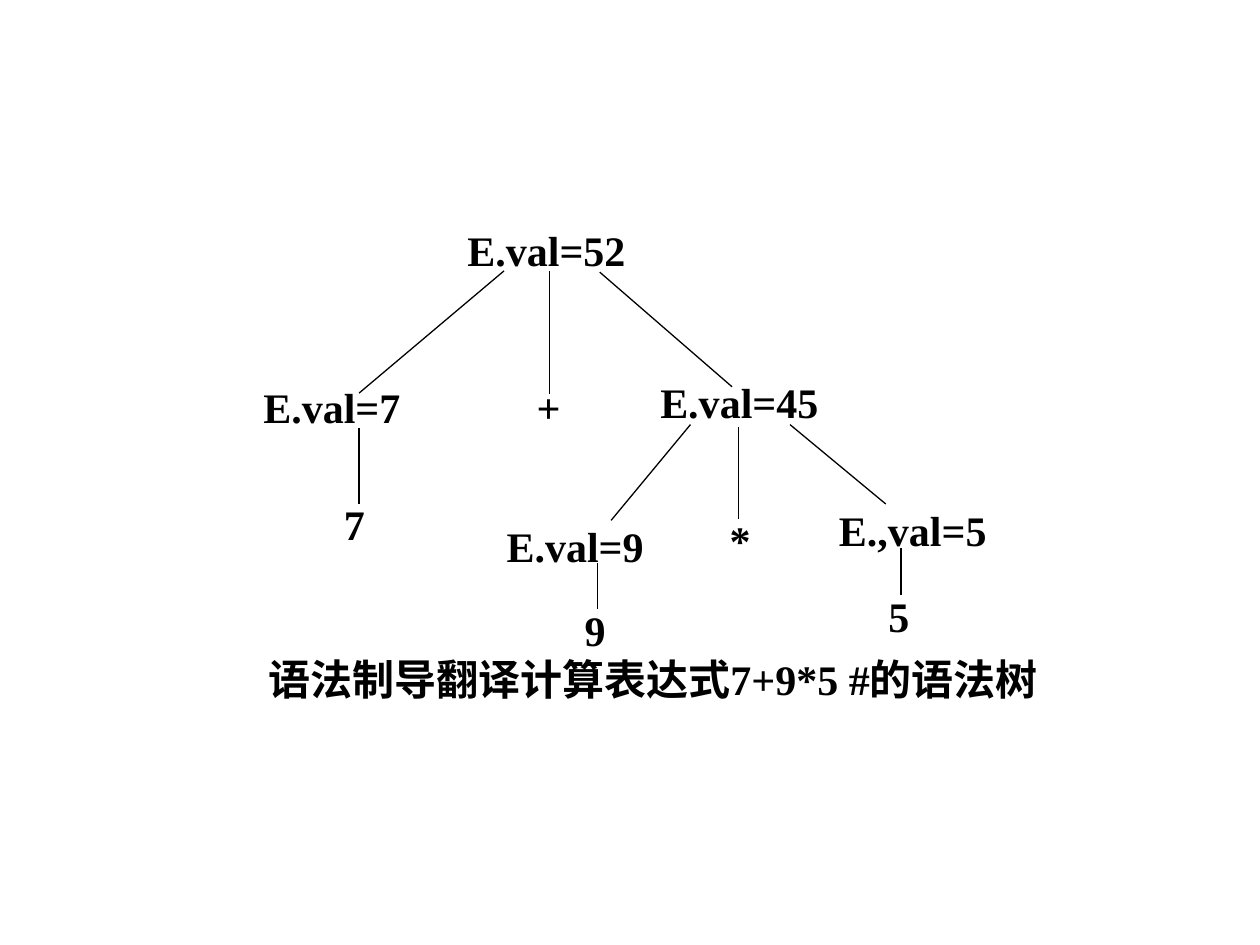
from pptx import Presentation
from pptx.dml.color import RGBColor
from pptx.enum import text as text_enum
from pptx.enum.shapes import MSO_CONNECTOR
from pptx.oxml.ns import qn
from pptx.util import Inches, Pt
from lxml import etree

BLACK = RGBColor(0, 0, 0)
FONT = "Times New Roman"
ALIGN = text_enum.PP_ALIGN

# Offsets in inches from the top left corner of the tree.
ATTRIBUTE_NODES = [
    # text, left, top, width, alignment
    ("E.val=52", 1.71, 0.08, 1.65, ALIGN.JUSTIFY),
    ("E.val=7", 0.09, 1.33, 1.53, ALIGN.JUSTIFY),
    ("E.val=45", 3.24, 1.29, 1.65, ALIGN.JUSTIFY),
    ("E.val=9", 1.8, 2.43, 1.53, ALIGN.CENTER),
    ("E.,val=5", 4.48, 2.3, 1.53, ALIGN.CENTER),
]
TOKENS = [
    ("+", 2.26, 1.33),
    ("7", 0.73, 2.26),
    ("*", 3.79, 2.38),
    ("9", 2.64, 3.1),
    ("5", 5.05, 2.99),
]
BRANCHES = [
    # start x, start y, end x, end y
    (2, 0.45, 0.85, 1.42),
    (2.36, 0.45, 2.36, 1.43),
    (2.76, 0.46, 3.81, 1.37),
    (0.85, 1.7, 0.85, 2.3),
    (3.48, 1.67, 2.85, 2.43),
    (3.86, 1.69, 3.86, 2.42),
    (4.27, 1.67, 5.03, 2.3),
    (2.74, 2.77, 2.74, 3.13),
    (5.15, 2.65, 5.15, 3.02),
]


def add_text(shapes, content, left, top, width, height=Inches(0.35), *,
             size=24, bold=True, color=BLACK, align=ALIGN.JUSTIFY):
    box = shapes.add_textbox(left, top, width, height)
    frame = box.text_frame
    frame.word_wrap = True
    frame.margin_left = frame.margin_right = 0
    frame.margin_top = frame.margin_bottom = 0
    paragraph = frame.paragraphs[0]
    paragraph.alignment = align
    run = paragraph.add_run()
    run.text = content
    run.font.name = FONT
    run.font.size = Pt(size)
    run.font.bold = bold
    run.font.color.rgb = color
    return box


def add_branch(shapes, start_x, start_y, end_x, end_y):
    branch = shapes.add_connector(
        MSO_CONNECTOR.STRAIGHT, start_x, start_y, end_x, end_y)
    branch.line.color.rgb = BLACK
    branch.line.width = Pt(0.75)
    etree.SubElement(branch._element.spPr, qn("a:effectLst"))


def add_syntax_tree(shapes, left, top):
    for start_x, start_y, end_x, end_y in BRANCHES:
        add_branch(shapes, left + Inches(start_x), top + Inches(start_y),
                   left + Inches(end_x), top + Inches(end_y))
    for content, x, y, width, align in ATTRIBUTE_NODES:
        add_text(shapes, content, left + Inches(x), top + Inches(y),
                 Inches(width), align=align)
    for content, x, y in TOKENS:
        add_text(shapes, content, left + Inches(x), top + Inches(y), Inches(0.22))


def main():
    presentation = Presentation()
    presentation.slide_width = Inches(10)
    presentation.slide_height = Inches(7.5)
    slide = presentation.slides.add_slide(presentation.slide_layouts[6])
    figure = slide.shapes.add_group_shape()
    add_syntax_tree(figure.shapes, Inches(2), Inches(1.7))
    add_text(figure.shapes, "语法制导翻译计算表达式7+9*5 #的语法树",
             Inches(2.13), Inches(5.19), Inches(6.49), Inches(0.37))
    presentation.save("out.pptx")


if __name__ == "__main__":
    main()
